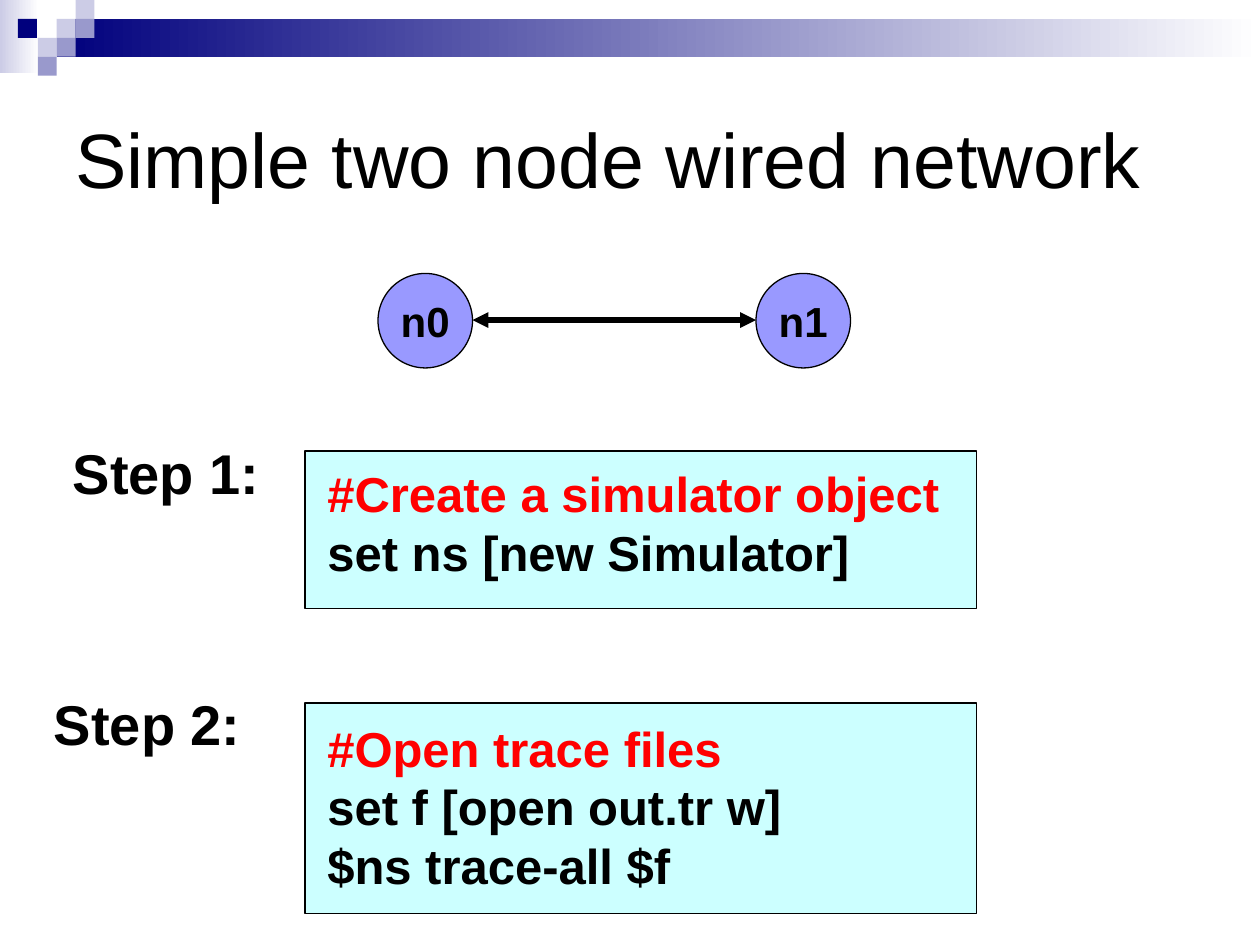
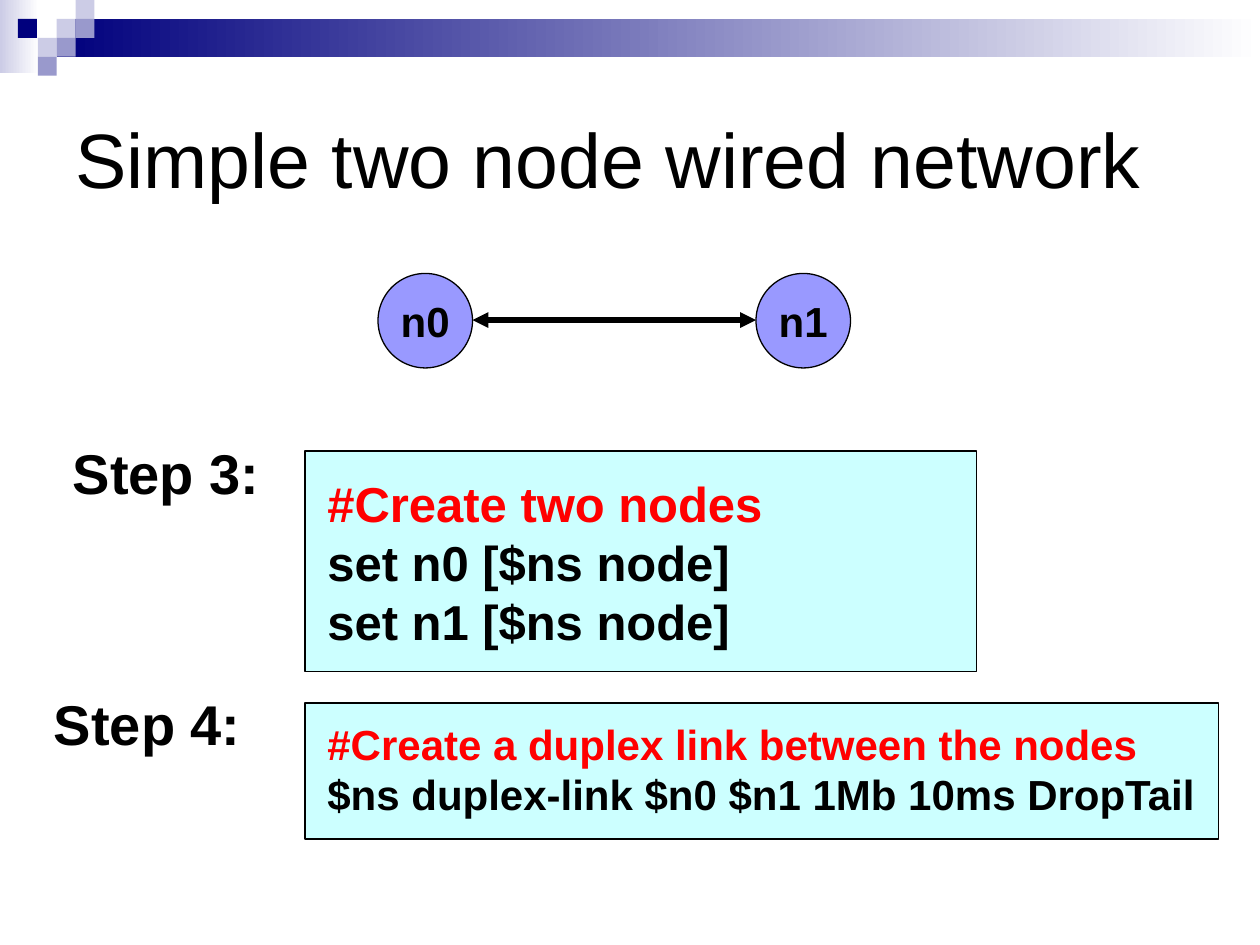
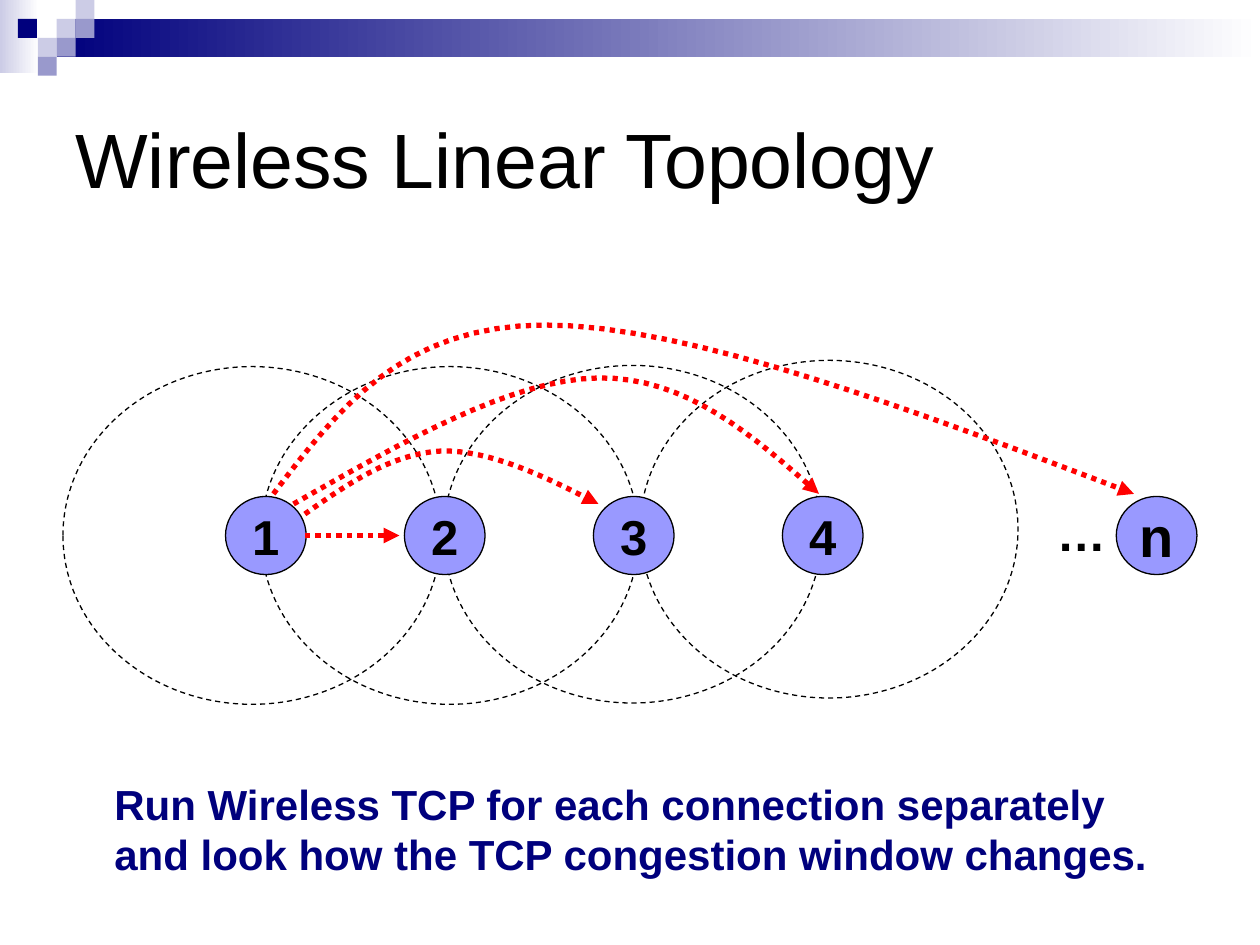
from dataclasses import dataclass

from lxml import etree
from pptx import Presentation
from pptx.dml.color import RGBColor
from pptx.enum.dml import MSO_LINE
from pptx.enum.shapes import MSO_CONNECTOR, MSO_SHAPE
from pptx.enum.text import MSO_ANCHOR, PP_ALIGN
from pptx.oxml.ns import qn
from pptx.util import Inches, Pt

RECT, OVAL = MSO_SHAPE.RECTANGLE, MSO_SHAPE.OVAL
STRAIGHT = MSO_CONNECTOR.STRAIGHT
DASH, DOTS = MSO_LINE.DASH, MSO_LINE.ROUND_DOT
TOP, MIDDLE = MSO_ANCHOR.TOP, MSO_ANCHOR.MIDDLE
LEFT, CENTER = PP_ALIGN.LEFT, PP_ALIGN.CENTER


@dataclass(frozen=True)
class Theme:
    font: str = "Arial"
    black: str = "000000"
    white: str = "FFFFFF"
    navy: str = "00007D"
    mid: str = "9999CC"
    pale: str = "CCCCE6"
    node: str = "9999FF"
    code: str = "CCFFFF"
    red: str = "FF0000"
    title: int = 44
    step: int = 32
    large: int = 28
    body: int = 24
    thin: float = 0.75
    thick: float = 3


T = Theme()
W, H = 10, 7.5

# Content: each step is label, code size, box width, box height, text top, lines
WIRED_TITLE = "Simple two node wired network"
WIRED_SLIDES = [
    [("Step 1:", T.large, 5.33, 1.25, 3.63,
      ["#Create a simulator object", "set ns [new Simulator]"]),
     ("Step 2:", T.large, 5.33, 1.67, 5.65,
      ["#Open trace files", "set f [open out.tr w]", "$ns trace-all $f"])],
    [("Step 3:", T.large, 5.33, 1.75, 3.71,
      ["#Create two nodes", "set n0 [$ns node]", "set n1 [$ns node]"]),
     ("Step 4:", T.body, 7.25, 1.08, 5.65,
      ["#Create a duplex link between the nodes",
       "$ns duplex-link $n0 $n1 1Mb 10ms DropTail"])],
]
STEP_LABELS = [(0.48, 3.43), (0.33, 5.42)]
CODE_LEFT, CODE_TOP, CODE_PITCH = 2.42, 3.58, 2

WIRELESS_TITLE = "Wireless Linear Topology"
RADIO_RANGES = [(5.08, 2.86), (0.5, 2.91), (2.07, 2.91), (3.52, 2.9)]
WIRELESS_NODES = [("1", 1.79, T.large), ("2", 3.21, T.large), ("3", 4.71, T.large),
                  ("4", 6.21, T.large), ("n", 8.86, T.step)]
# Start point, then two controls and an end for every Bézier piece
ROUTES = [
    [(2.42, 4.08), (2.76, 3.84), (3.11, 3.6), (3.5, 3.58),
     (3.89, 3.57), (4.32, 3.78), (4.75, 4)],
    [(2.33, 4), (3.19, 3.51), (4.06, 3.01), (4.75, 3),
     (5.44, 2.99), (5.97, 3.45), (6.5, 3.92)],
    [(2.17, 3.92), (2.68, 3.25), (3.19, 2.58), (4.33, 2.58),
     (5.47, 2.58), (7.24, 3.25), (9, 3.92)],
]
TASK = ["Run Wireless TCP for each connection separately",
        "and look how the TCP congestion window changes."]

# Corner mosaic: column, row and colour of each square
SQUARE = 0.15
MOSAIC = [(3, 1, T.pale), (4, 0, T.pale), (4, 1, T.mid), (2, 2, T.pale),
          (0.95, 1, T.navy), (3, 2, T.mid), (2, 3, T.mid)]


def rgb(value):
    return RGBColor.from_string(value)


def style_line(line, color=T.black, width=T.thin, dash=None, ends=()):
    line.color.rgb = rgb(color)
    line.width = Pt(width)
    if dash:
        line.dash_style = dash
    for end in ends:
        ln = line.fill._xPr
        etree.SubElement(ln, qn(f"a:{end}"), type="triangle")


def write(sp, lines, size, colors=(T.black,), bold=True, align=LEFT,
          anchor=TOP, wrap=False):
    tf = sp.text_frame
    tf.word_wrap = wrap
    tf.vertical_anchor = anchor
    for i, line in enumerate(lines):
        p = tf.paragraphs[0] if i == 0 else tf.add_paragraph()
        p.text = line
        p.alignment = align
        p.font.name, p.font.size, p.font.bold = T.font, Pt(size), bold
        p.font.color.rgb = rgb(colors[min(i, len(colors) - 1)])


def add_text(s, box, lines, size, **style):
    write(s.shapes.add_textbox(*map(Inches, box)), lines, size, **style)


def add_shape(s, kind, box, fill=None, outlined=True, dash=None):
    sp = s.shapes.add_shape(kind, *map(Inches, box))
    sp.shadow.inherit = False
    if fill:
        sp.fill.solid()
        sp.fill.fore_color.rgb = rgb(fill)
    else:
        sp.fill.background()
    if outlined:
        style_line(sp.line, dash=dash)
    else:
        sp.line.fill.background()
    return sp


def add_fade(s, box, color):
    sp = add_shape(s, RECT, box, outlined=False)
    sp.fill.gradient()
    sp.fill.gradient_angle = 0
    for stop, value, position in zip(sp.fill.gradient_stops, (color, T.white), (0, 1)):
        stop.color.rgb = rgb(value)
        stop.position = position


def add_node(s, box, name, size):
    write(add_shape(s, OVAL, box, T.node), [name], size, align=CENTER, anchor=MIDDLE)


def add_arrow(s, x1, x2, y, **style):
    cn = s.shapes.add_connector(STRAIGHT, *map(Inches, (x1, y, x2, y)))
    style_line(cn.line, width=T.thick, **style)
    etree.SubElement(cn._element.spPr, qn("a:effectLst"))


def curve_points(points, steps=16):
    result = [points[0]]
    for i in range(0, len(points) - 1, 3):
        piece = points[i:i + 4]
        for k in range(1, steps + 1):
            t = k / steps
            weights = ((1 - t) ** 3, 3 * t * (1 - t) ** 2, 3 * t * t * (1 - t), t ** 3)
            result.append(tuple(sum(w * c for w, c in zip(weights, axis))
                                for axis in zip(*piece)))
    return result


def add_route(s, points):
    # The builder rounds to whole units, so the points go in as EMU
    start, *rest = [(Inches(x), Inches(y)) for x, y in curve_points(points)]
    builder = s.shapes.build_freeform(*start)
    builder.add_line_segments(rest, close=False)
    sp = builder.convert_to_shape()
    sp.shadow.inherit = False
    sp.fill.background()
    style_line(sp.line, T.red, T.thick, DOTS, ["tailEnd"])


def new_slide(prs, title):
    s = prs.slides.add_slide(prs.slide_layouts[6])
    add_fade(s, (0, 0, 0.31, 0.58), T.pale)
    add_fade(s, (3 * SQUARE, SQUARE, W - 3 * SQUARE, 2 * SQUARE), T.navy)
    for col, row, color in MOSAIC:
        add_shape(s, RECT, (col * SQUARE, row * SQUARE, SQUARE, SQUARE), color, False)
    add_text(s, (0.5, 0.5, W - 1, 1.5), [title], T.title,
             bold=False, anchor=MIDDLE, wrap=True)
    return s


def wired_slide(prs, steps):
    s = new_slide(prs, WIRED_TITLE)
    # Two linked nodes
    for name, x in (("n0", 3), ("n1", 6)):
        add_node(s, (x, 2.17, 0.75, 0.75), name, T.body)
    add_arrow(s, 3.75, 6, 2.54, ends=["headEnd", "tailEnd"])
    # Step labels and code boxes
    for i, (label, size, width, height, text_top, lines) in enumerate(steps):
        add_text(s, (*STEP_LABELS[i], 1.75, 0.64), [label], T.step)
        top = CODE_TOP + i * CODE_PITCH
        add_shape(s, RECT, (CODE_LEFT, top, width, height), T.code)
        add_text(s, (CODE_LEFT + 0.08, text_top, width, height - 0.2), lines, size,
                 colors=(T.red, T.black), wrap=True)


def wireless_slide(prs):
    s = new_slide(prs, WIRELESS_TITLE)
    # Radio ranges behind the row of nodes
    for x, y in RADIO_RANGES:
        add_shape(s, OVAL, (x, y, 3, 2.68), dash=DASH)
    for name, x, size in WIRELESS_NODES:
        add_node(s, (x, 3.94, 0.64, 0.62), name, size)
    add_text(s, (8.29, 3.94, 0.59, 0.57), ["…"], T.large)
    # Connections from node 1
    add_arrow(s, 2.42, 3.17, 4.25, color=T.red, dash=DOTS, ends=["tailEnd"])
    for points in ROUTES:
        add_route(s, points)
    add_text(s, (0.81, 6.13, 8.4, 0.9), TASK, T.body, colors=(T.navy,))


def main():
    prs = Presentation()
    prs.slide_width, prs.slide_height = Inches(W), Inches(H)
    for steps in WIRED_SLIDES:
        wired_slide(prs, steps)
    wireless_slide(prs)
    prs.save("out.pptx")


if __name__ == "__main__":
    main()
